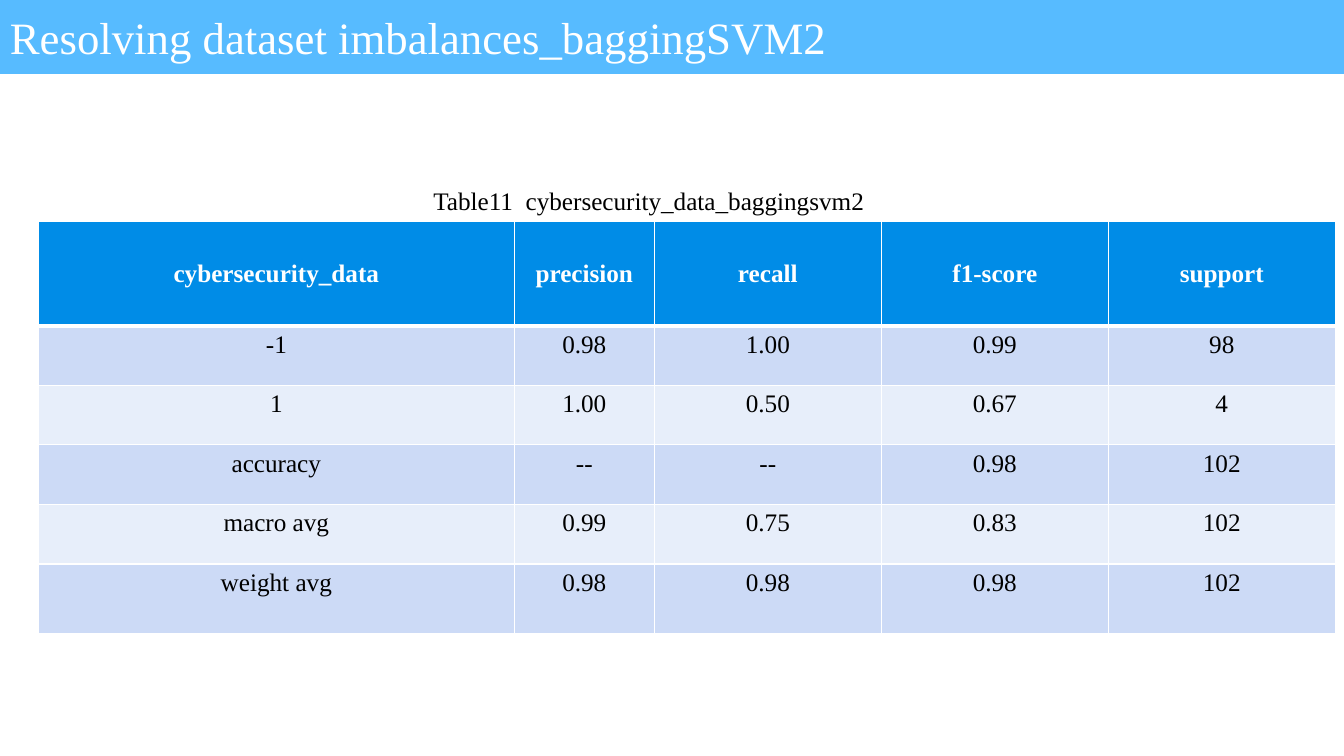
from lxml.etree import SubElement
from pptx import Presentation
from pptx.dml.color import RGBColor
from pptx.enum.shapes import MSO_SHAPE
from pptx.enum.text import MSO_ANCHOR, PP_ALIGN
from pptx.oxml.ns import qn
from pptx.util import Cm, Pt

COLORS = {
    "banner": "57BBFF",
    "header": "008CE7",
    "odd_row": "CCDAF6",
    "even_row": "E7EEFA",
    "white": "FFFFFF",
    "black": "000000",
}
FONT = "Times New Roman"
SLIDE_WIDTH, SLIDE_HEIGHT = 33.87, 19.05
COLUMN_WIDTHS = [11.99, 3.53, 5.72, 5.72, 5.72]
ROW_HEIGHTS = [2.62, 1.5, 1.5, 1.5, 1.5, 1.75]
SCORES = [
    ["cybersecurity_data", "precision", "recall", "f1-score", "support"],
    ["-1", "0.98", "1.00", "0.99", "98"],
    ["1", "1.00", "0.50", "0.67", "4"],
    ["accuracy", "--", "--", "0.98", "102"],
    ["macro avg", "0.99", "0.75", "0.83", "102"],
    ["weight avg", "0.98", "0.98", "0.98", "102"],
]


def color(name):
    return RGBColor.from_string(COLORS[name])


def write_text(frame, text, size=18, ink="black", bold=False, align=PP_ALIGN.LEFT):
    para = frame.paragraphs[0]
    para.alignment = align
    span = para.add_run()
    span.text = text
    span.font.name = FONT
    span.font.size = Pt(size)
    span.font.bold = bold
    span.font.color.rgb = color(ink)


def add_banner(page, box, text):
    banner = page.shapes.add_shape(MSO_SHAPE.RECTANGLE, *map(Cm, box))
    banner.shadow.inherit = False
    banner.fill.solid()
    banner.fill.fore_color.rgb = color("banner")
    banner.line.color.rgb = color("banner")
    banner.line.width = Pt(1)
    banner.text_frame.word_wrap = True
    banner.text_frame.vertical_anchor = MSO_ANCHOR.MIDDLE
    write_text(banner.text_frame, text, size=32, ink="white")


def add_caption(page, box, text):
    caption = page.shapes.add_textbox(*map(Cm, box))
    caption.text_frame.word_wrap = True
    write_text(caption.text_frame, text)


def set_borders(cell, top=1, bottom=1):
    """Draw white cell borders; widths are in points."""
    properties = cell._tc.get_or_add_tcPr()
    for side, width in (("L", 1), ("R", 1), ("T", top), ("B", bottom)):
        border = SubElement(properties, qn(f"a:ln{side}"), w=str(Pt(width)))
        fill = SubElement(border, qn("a:solidFill"))
        SubElement(fill, qn("a:srgbClr"), val=COLORS["white"])


def fill_cell(cell, row_number, text):
    is_header = row_number == 0
    set_borders(cell, top=3 if row_number == 1 else 1, bottom=3 if is_header else 1)
    band = "odd_row" if row_number % 2 else "even_row"
    cell.fill.solid()
    cell.fill.fore_color.rgb = color("header" if is_header else band)
    cell.vertical_anchor = MSO_ANCHOR.MIDDLE if is_header else MSO_ANCHOR.TOP
    write_text(cell.text_frame, text, ink="white" if is_header else "black",
               bold=is_header, align=PP_ALIGN.CENTER)


def add_score_table(page, left, top):
    box = (left, top, sum(COLUMN_WIDTHS), sum(ROW_HEIGHTS))
    table = page.shapes.add_table(len(SCORES), len(SCORES[0]), *map(Cm, box)).table
    for column, width in zip(table.columns, COLUMN_WIDTHS):
        column.width = Cm(width)
    for row_number, (row, height) in enumerate(zip(table.rows, ROW_HEIGHTS)):
        row.height = Cm(height)
        for cell, text in zip(row.cells, SCORES[row_number]):
            fill_cell(cell, row_number, text)


def main():
    deck = Presentation()
    deck.slide_width, deck.slide_height = Cm(SLIDE_WIDTH), Cm(SLIDE_HEIGHT)
    page = deck.slides.add_slide(deck.slide_layouts[6])
    add_banner(page, (0, 0, SLIDE_WIDTH, 1.85), "Resolving dataset imbalances_baggingSVM2")
    add_score_table(page, 0.97, 5.59)
    add_caption(page, (10.67, 4.55, 12.52, 1.02), "Table11  cybersecurity_data_baggingsvm2")
    deck.save("out.pptx")


if __name__ == "__main__":
    main()
